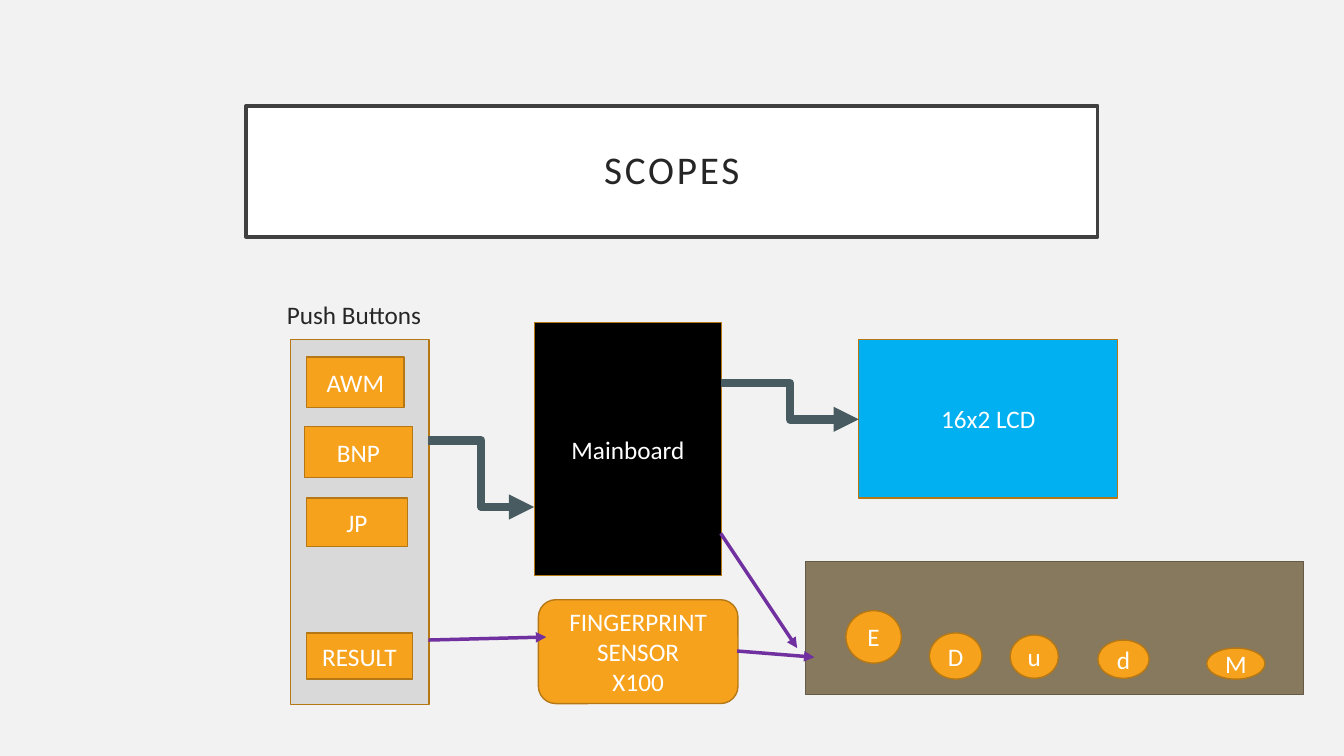
"""Builds the block diagram slide of a push-button and fingerprint system."""
from dataclasses import dataclass

from lxml import etree
from pptx import Presentation
from pptx import util as u
from pptx.dml.color import RGBColor
from pptx.enum import shapes, text
from pptx.oxml import ns

COLUMNS, ROWS = 160, 90
CELL = u.Inches(13.33) / COLUMNS
RECTANGLE = shapes.MSO_SHAPE.RECTANGLE
ROUNDED = shapes.MSO_SHAPE.ROUNDED_RECTANGLE
OVAL = shapes.MSO_SHAPE.OVAL
STRAIGHT = shapes.MSO_CONNECTOR.STRAIGHT
ELBOW = shapes.MSO_CONNECTOR.ELBOW


@dataclass(frozen=True)
class Theme:
    """Colours, font and type sizes of the slide."""
    font: str = "Calibri"
    title_size: int = 28
    text_size: int = 18
    background: str = "F2F2F2"
    white: str = "FFFFFF"
    ink: str = "262626"
    frame: str = "404040"
    accent: str = "F6A21D"
    outline: str = "B67815"
    board: str = "000000"
    panel: str = "D9D9D9"
    display: str = "00B0F0"
    tray: str = "87795D"
    tray_outline: str = "645A45"
    bus: str = "475B61"
    signal: str = "7030A0"


THEME = Theme()


def rgb(value):
    """Turn a hex string into a colour."""
    return RGBColor.from_string(value)


def cells(*counts):
    """Convert counts of grid cells to lengths."""
    return [u.Emu(round(count * CELL)) for count in counts]


def place(shape, box):
    """Move and size a shape to a box given in grid cells."""
    shape.left, shape.top, shape.width, shape.height = cells(*box)


def paint(shape, fill, outline, width=1):
    """Set the fill and outline of a shape."""
    shape.fill.solid()
    shape.fill.fore_color.rgb = rgb(fill)
    shape.line.color.rgb = rgb(outline)
    shape.line.width = u.Pt(width)


def write(shape, words, size, color, align, anchor):
    """Write one formatted paragraph and return it."""
    frame = shape.text_frame
    frame.text = words
    frame.word_wrap = True
    frame.vertical_anchor = anchor
    paragraph = frame.paragraphs[0]
    paragraph.alignment = align
    paragraph.font.name = THEME.font
    paragraph.font.size = u.Pt(size)
    paragraph.font.color.rgb = rgb(color)
    return paragraph


def add_title(slide, words, box):
    """Format the title placeholder as a framed banner."""
    title = slide.shapes.title
    place(title, box)
    paint(title, THEME.white, THEME.frame, 2.5)
    paragraph = write(title, words, THEME.title_size, THEME.ink,
                      text.PP_ALIGN.CENTER, text.MSO_ANCHOR.MIDDLE)
    paragraph.line_spacing = 0.9
    paragraph.runs[0]._r.get_or_add_rPr().set("spc", "200")


def add_caption(slide, words, box, indent):
    """Format the body placeholder as an indented caption without bullet."""
    body = slide.placeholders[1]
    place(body, box)
    paragraph = write(body, words, THEME.text_size, THEME.ink,
                      text.PP_ALIGN.LEFT, text.MSO_ANCHOR.TOP)
    paragraph.space_before = u.Pt(10)
    properties = paragraph._p.get_or_add_pPr()
    properties.set("marL", str(cells(indent)[0]))
    properties.set("indent", "0")
    bullet = etree.Element(ns.qn("a:buNone"))
    properties.find(ns.qn("a:defRPr")).addprevious(bullet)


def add_block(slide, kind, box, words="", fill=THEME.accent, outline=THEME.outline):
    """Add a filled shape with an optional centred label."""
    block = slide.shapes.add_shape(kind, *cells(*box))
    block.shadow.inherit = False
    paint(block, fill, outline)
    if words:
        write(block, words, THEME.text_size, THEME.white,
              text.PP_ALIGN.CENTER, text.MSO_ANCHOR.MIDDLE)


def add_arrow(slide, kind, ends, color, width):
    """Add a connector with a triangular head at its end."""
    arrow = slide.shapes.add_connector(kind, *cells(*ends))
    arrow.line.color.rgb = rgb(color)
    arrow.line.width = u.Pt(width)
    etree.SubElement(arrow.line._get_or_add_ln(), ns.qn("a:tailEnd"), type="triangle")
    etree.SubElement(arrow._element.spPr, ns.qn("a:effectLst"))


def add_push_buttons(slide):
    """Add the button panel and its four buttons."""
    add_block(slide, RECTANGLE, (34.56, 40.44, 16.5, 43.4), fill=THEME.panel)
    for words, *box in (("AWM", 36.5, 42.5, 11.6, 6),
                        ("BNP", 36.25, 50.75, 12.85, 6.1),
                        ("JP", 36.5, 59.3, 12, 5.75),
                        ("RESULT", 36.5, 75.35, 12.6, 5.5)):
        add_block(slide, RECTANGLE, box, words)


def add_lamps(slide):
    """Add the tray and its five lamps."""
    add_block(slide, RECTANGLE, (95.9, 66.84, 59.3, 15.84),
              fill=THEME.tray, outline=THEME.tray_outline)
    for words, *box in (("E", 100.7, 72.7, 6.6, 6.25),
                        ("D", 110.65, 75.35, 6.25, 5.5),
                        ("u", 120.25, 75.6, 5.75, 5.15),
                        ("d", 130.7, 76.2, 6.1, 4.55),
                        ("M", 143.65, 77.15, 6.95, 3.7)):
        add_block(slide, OVAL, box, words)


def main():
    """Build and save the slide."""
    presentation = Presentation()
    presentation.slide_width, presentation.slide_height = cells(COLUMNS, ROWS)
    slide = presentation.slides.add_slide(presentation.slide_layouts[1])
    slide.background.fill.solid()
    slide.background.fill.fore_color.rgb = rgb(THEME.background)

    add_title(slide, "SCOPES", (29.28, 12.6, 101.4, 15.6))
    add_caption(slide, "Push Buttons", (28.9, 35.04, 107.9, 50.6), 4.05)
    add_block(slide, RECTANGLE, (63.6, 38.4, 22.3, 30.1), "Mainboard", THEME.board)
    add_push_buttons(slide)
    add_block(slide, RECTANGLE, (102.24, 40.44, 30.84, 18.84), "16x2 LCD", THEME.display)
    add_lamps(slide)
    add_block(slide, ROUNDED, (64.1, 71.4, 23.76, 12.36), "FINGERPRINT\vSENSOR\vX100")

    for ends in ((51, 52.44, 63.6, 60.36), (85.8, 45.6, 102.24, 49.92)):
        add_arrow(slide, ELBOW, ends, THEME.bus, 6)
    for ends in ((85.8, 63.5, 94.9, 77.15),
                 (51, 76.2, 65.04, 75.84),
                 (87.75, 77.5, 96.96, 78.24)):
        add_arrow(slide, STRAIGHT, ends, THEME.signal, 2.5)
    presentation.save("out.pptx")


if __name__ == "__main__":
    main()
